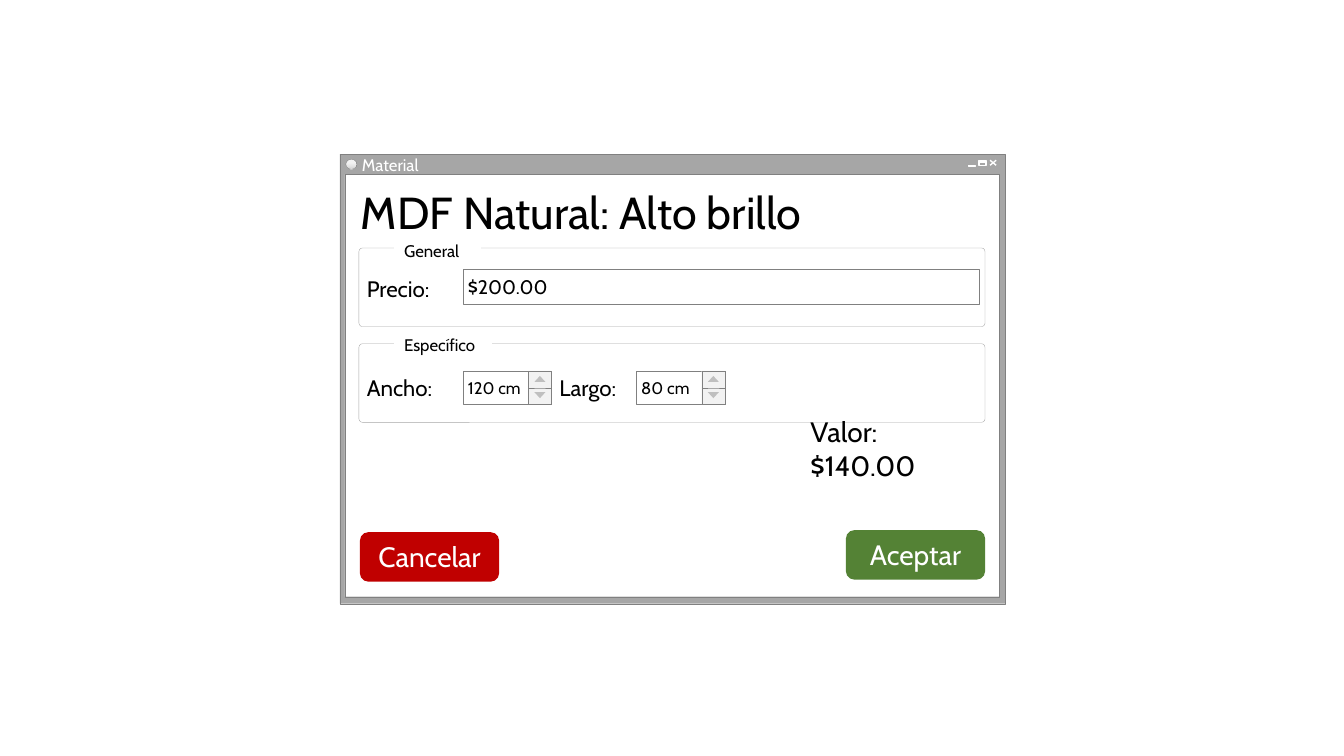
import copy

import pptx
import pptx.dml.color
import pptx.enum.shapes
import pptx.enum.text
import pptx.oxml.ns
import pptx.util

Inches = pptx.util.Inches
Pt = pptx.util.Pt
KIND = pptx.enum.shapes.MSO_SHAPE
ALIGN = pptx.enum.text.PP_ALIGN
ANCHOR = pptx.enum.text.MSO_ANCHOR
qn = pptx.oxml.ns.qn

COLORS = {
    "black": "000000", "white": "FFFFFF", "frame": "A6A6A6", "edge": "808080",
    "control": "919191", "stepper": "F2F2F2", "shade": "D9D9D9", "arrow": "BFBFBF",
    "accept": "548235", "cancel": "C00000",
}
LABEL_INSETS = (0.1, 0.02, 0.1, 0.03)


def rgb(name):
    return pptx.dml.color.RGBColor.from_string(COLORS[name])


class DialogSlide:
    """Draws the parts of a dialog window on one slide."""

    def __init__(self, slide, font="Cabin"):
        self.slide = slide
        self.font = font
        self.canvas = slide.shapes

    def start_group(self):
        self.canvas = self.slide.shapes.add_group_shape().shapes

    def end_group(self):
        self.canvas = self.slide.shapes

    def set_text(self, shape, text, size, color="black", insets=LABEL_INSETS,
                 align=ALIGN.LEFT, anchor=ANCHOR.MIDDLE, wrap=False):
        frame = shape.text_frame
        frame.auto_size = pptx.enum.text.MSO_AUTO_SIZE.NONE
        frame.word_wrap = wrap
        frame.vertical_anchor = anchor
        (frame.margin_left, frame.margin_top,
         frame.margin_right, frame.margin_bottom) = map(Inches, insets)
        paragraph = frame.paragraphs[0]
        paragraph.alignment = align
        paragraph.line_spacing = 1.0
        paragraph.space_before = Pt(0)
        run = paragraph.add_run()
        run.text = text
        run.font.name = self.font
        run.font.size = Pt(size)
        run.font.color.rgb = rgb(color)

    def title(self, box, text, size):
        heading = self.slide.shapes.title
        heading.left, heading.top, heading.width, heading.height = map(Inches, box)
        self.slide.shapes.element.append(heading.element)
        self.set_text(heading, text, size)

    def label(self, box, text, size, **style):
        self.set_text(self.canvas.add_textbox(*map(Inches, box)), text, size, **style)

    def shape(self, box, fill=None, line=None, kind=KIND.RECTANGLE, weight=0.25):
        shape = self.canvas.add_shape(kind, *map(Inches, box))
        shape.shadow.inherit = False
        if fill:
            shape.fill.solid()
            shape.fill.fore_color.rgb = rgb(fill)
        else:
            shape.fill.background()
        if line:
            shape.line.color.rgb = rgb(line)
            shape.line.width = Pt(weight)
        else:
            shape.line.fill.background()
        return shape

    def stroke(self, x1, y1, x2, y2):
        stroke = self.canvas.add_connector(
            pptx.enum.shapes.MSO_CONNECTOR.STRAIGHT, *map(Inches, (x1, y1, x2, y2)))
        stroke.line.color.rgb = rgb("white")
        stroke.line.width = Pt(1)
        properties = stroke.element.spPr
        properties.append(properties.makeelement(qn("a:effectLst"), {}))

    def window_icon(self, box):
        icon = self.shape(box, "stepper", "edge", KIND.OVAL)
        icon.fill.gradient()
        icon.fill.gradient_angle = 270
        stop_list = icon.element.spPr.find(".//" + qn("a:gsLst"))
        stop_list.append(copy.deepcopy(stop_list[0]))
        tones = ((0.36, "stepper"), (0.91, "shade"), (1.0, "stepper"))
        for stop, (position, color) in zip(icon.fill.gradient_stops, tones):
            stop.position = position
            stop.color.rgb = rgb(color)

    def window(self, caption):
        self.start_group()
        self.shape((3.37, 1.53, 6.6, 4.46), "frame", "edge")
        self.shape((3.42, 1.73, 6.49, 4.19), "white", "edge")
        self.label((3.54, 1.51, 0.76, 0.25), caption, 12, color="white",
                   insets=(0.05, 0.02, 0.1, 0.03))
        self.stroke(9.82, 1.59, 9.88, 1.64)
        self.stroke(9.88, 1.59, 9.82, 1.64)
        self.shape((9.71, 1.6, 0.07, 0.01), "control", "white")
        self.shape((9.71, 1.59, 0.07, 0.05), line="white", weight=1)
        self.shape((9.6, 1.64, 0.07, 0.01), "control", "white")
        self.window_icon((3.43, 1.58, 0.11, 0.1))
        self.end_group()

    def section(self, top, caption, caption_box):
        self.start_group()
        frame = self.shape((3.56, top, 6.21, 0.78), "white", "frame",
                           KIND.ROUNDED_RECTANGLE)
        frame.adjustments[0] = 0.045
        self.set_text(self.shape(caption_box, "white"), caption, 12,
                      insets=(0.1, 0.05, 0.1, 0.05), anchor=ANCHOR.TOP, wrap=True)
        self.end_group()

    def button(self, left, top, text, fill):
        button = self.shape((left, top, 1.38, 0.49), fill, kind=KIND.ROUNDED_RECTANGLE)
        self.set_text(button, text, 20, "white", (0.1, 0, 0.1, 0.01), ALIGN.CENTER,
                      wrap=True)

    def field(self, box, text):
        self.set_text(self.shape(box, "white", "edge"), text, 14,
                      insets=(0.05, 0.02, 0.05, 0.02))

    def spinner(self, left, top, text):
        self.start_group()
        self.set_text(self.shape((left, top, 0.88, 0.33), "white", "edge"), text, 12,
                      insets=(0.05, 0.05, 0.2, 0.05), wrap=True)
        for offset, turn in ((0.16, 180), (0, 0)):
            self.shape((left + 0.65, top + offset, 0.23, 0.17), "stepper", "edge")
            arrow = self.shape((left + 0.71, top + offset + 0.05, 0.11, 0.06), "arrow",
                               kind=KIND.ISOSCELES_TRIANGLE)
            arrow.rotation = turn
        self.end_group()


def main():
    deck = pptx.Presentation()
    deck.slide_width, deck.slide_height = Inches(13.33), Inches(7.5)
    dialog = DialogSlide(deck.slides.add_slide(deck.slide_layouts[5]))

    dialog.window("Material")
    dialog.title((3.48, 1.81, 4.89, 0.59), "MDF Natural: Alto brillo", 32)
    dialog.section(3.41, "Específico", (3.91, 3.27, 0.97, 0.3))
    dialog.section(2.46, "General", (3.91, 2.34, 0.86, 0.23))
    dialog.label((7.94, 4.26, 1.9, 0.39), "Valor: $140.00", 20, wrap=True)
    dialog.button(8.39, 5.26, "Aceptar", "accept")
    dialog.button(3.57, 5.28, "Cancelar", "cancel")

    for left, top, width, caption in ((3.54, 2.71, 0.86, "Precio:"),
                                      (3.54, 3.69, 0.88, "Ancho:"),
                                      (5.45, 3.69, 0.81, "Largo:")):
        dialog.label((left, top, width, 0.32), caption, 16)
    dialog.field((4.59, 2.67, 5.12, 0.35), "$200.00")
    for left, size in ((4.59, "120 cm"), (6.31, "80 cm")):
        dialog.spinner(left, 3.68, size)

    deck.save("out.pptx")


if __name__ == "__main__":
    main()
